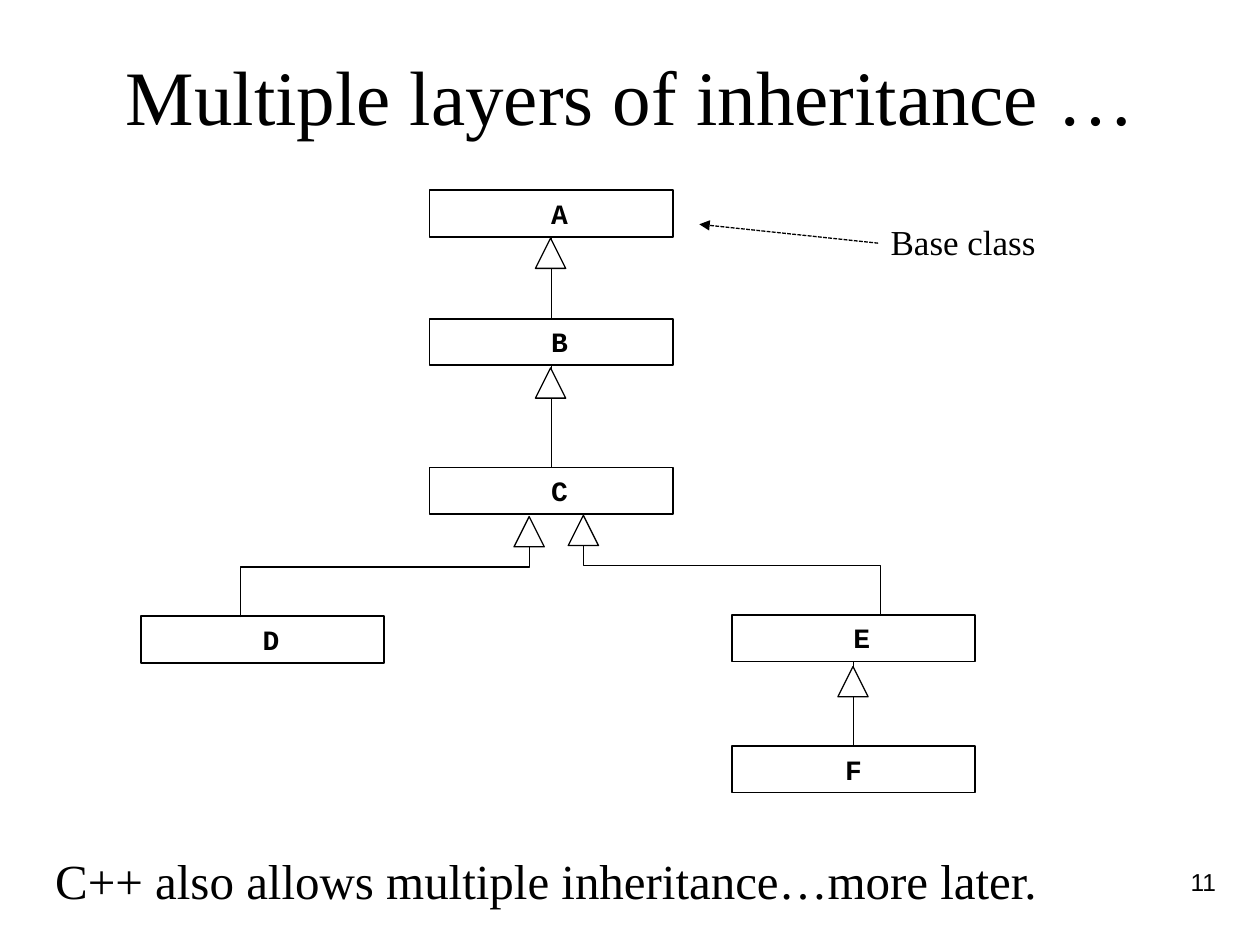
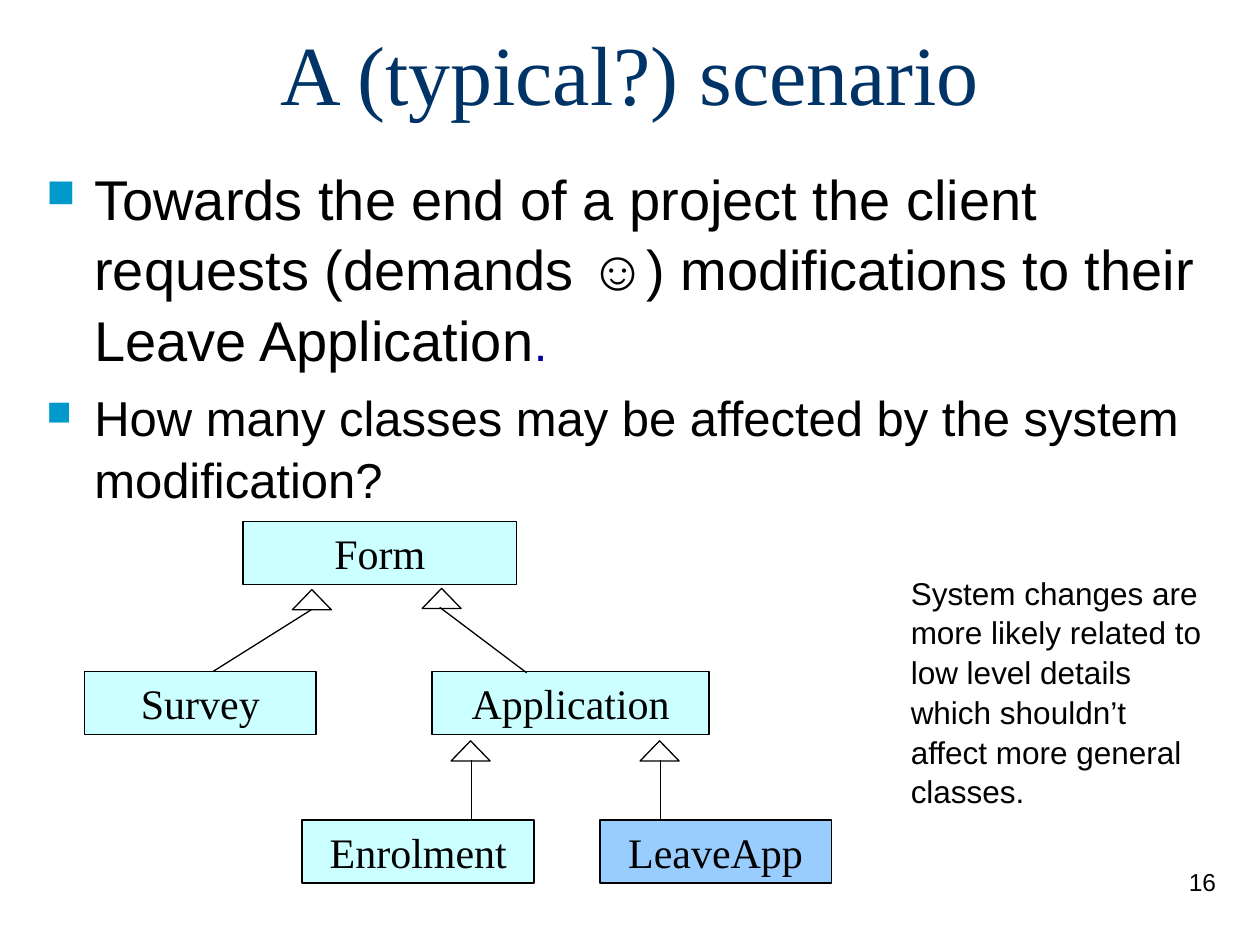
from lxml import etree
from pptx import Presentation
from pptx import util as u
from pptx.dml.color import RGBColor
from pptx.enum import dml, shapes, text
from pptx.oxml.ns import qn

BLACK = RGBColor(0x00, 0x00, 0x00)
WHITE = RGBColor(0xFF, 0xFF, 0xFF)
NAVY = RGBColor(0x00, 0x33, 0x66)
DOT_BLUE = RGBColor(0x00, 0x00, 0x99)
BULLET_BLUE = RGBColor(0x00, 0x99, 0xCC)
PALE_CYAN = RGBColor(0xCC, 0xFF, 0xFF)
SKY = RGBColor(0x99, 0xCC, 0xFF)

SERIF, SANS, MONO = "Times New Roman", "Arial", "Courier New"
LEFT, CENTER, RIGHT = text.PP_ALIGN.LEFT, text.PP_ALIGN.CENTER, text.PP_ALIGN.RIGHT
TOP, MIDDLE, BOTTOM = text.MSO_ANCHOR.TOP, text.MSO_ANCHOR.MIDDLE, text.MSO_ANCHOR.BOTTOM
RECT, TRIANGLE = shapes.MSO_SHAPE.RECTANGLE, shapes.MSO_SHAPE.ISOSCELES_TRIANGLE
STRAIGHT, ELBOW = shapes.MSO_CONNECTOR.STRAIGHT, shapes.MSO_CONNECTOR.ELBOW


def add_box(s, at, words="", size=16, font=SERIF, color=BLACK, align=LEFT,
            anchor=TOP, preset=None, fill=None, weight=1):
    """Add a text box, or an outlined shape when a preset is given."""
    at = [u.Inches(n) for n in at]
    if preset is None:
        sp = s.shapes.add_textbox(*at)
    else:
        sp = s.shapes.add_shape(preset, *at)
        sp.shadow.inherit = False
        sp.line.color.rgb = BLACK
        sp.line.width = u.Pt(weight)
        if fill is None:
            sp.fill.background()
        else:
            sp.fill.solid()
            sp.fill.fore_color.rgb = fill
    if words:
        tf = sp.text_frame
        tf.word_wrap = True
        tf.vertical_anchor = anchor
        p = tf.paragraphs[0]
        p.text = words
        p.alignment = align
        p.font.size, p.font.name = u.Pt(size), font
        p.font.color.rgb = color
    return sp


def add_line(s, x1, y1, x2, y2, kind=STRAIGHT):
    """Add a thin black connector; an elbow leaves and arrives vertically."""
    if kind == ELBOW:
        cx, cy = (x1 + x2) / 2, (y1 + y2) / 2
        dx, dy = x1 - cx, y1 - cy
        x1, y1, x2, y2 = cx - dy, cy + dx, cx + dy, cy - dx
    c = s.shapes.add_connector(kind, *[u.Inches(n) for n in (x1, y1, x2, y2)])
    c.line.color.rgb = BLACK
    c.line.width = u.Pt(0.75)
    sp_pr = c._element.spPr
    etree.SubElement(sp_pr, qn("a:effectLst"))
    if kind == ELBOW:
        sp_pr.find(qn("a:xfrm")).set("rot", str(270 * 60000))
    return c


prs = Presentation()
prs.slide_width, prs.slide_height = u.Inches(10), u.Inches(7.5)

# Titles and slide numbers
titles = [
    ("Multiple layers of inheritance …", (0.9, 0.13, 8.5, 1.25), 44, BLACK, LEFT, MIDDLE, "11"),
    ("A (typical?) scenario", (0.75, 0, 8.5, 1.02), 48, NAVY, CENTER, BOTTOM, "16"),
]
slides = []
for title, at, size, color, align, anchor, number in titles:
    s = prs.slides.add_slide(prs.slide_layouts[6])
    add_box(s, at, title, size, SERIF, color, align, anchor)
    add_box(s, (7.67, 6.83, 2.08, 0.5), number, 14, SANS, align=RIGHT)
    slides.append(s)

# Slide 1: class boxes
s = slides[0]
classes = {}
for name, x, y in [("A", 3.41, 1.51), ("B", 3.41, 2.53), ("C", 3.41, 3.71),
                   ("D", 1.12, 4.89), ("E", 5.81, 4.88), ("F", 5.81, 5.92)]:
    sp = add_box(s, (x, y, 1.93, 0.37), name, 16, MONO, align=CENTER, preset=RECT)
    sp.text_frame.paragraphs[0].font.bold = True
    if name != "F":
        sp.text_frame.margin_left = u.Inches(0.23)
    classes[name] = sp

# Slide 1: inheritance lines, then their hollow heads
for child, parent in ["BA", "CB", "FE"]:
    c = add_line(s, 0, 0, 1, 1)
    c.begin_connect(classes[child], 0)
    c.end_connect(classes[parent], 2)
add_line(s, 1.91, 4.9, 4.2, 4.1, ELBOW)
add_line(s, 6.99, 4.89, 4.63, 4.09, ELBOW)
for x, y in [(4.37, 1.89), (4.37, 2.92), (4.2, 4.1), (4.63, 4.09), (6.77, 5.29)]:
    add_box(s, (x - 0.12, y, 0.24, 0.24), preset=TRIANGLE, fill=WHITE, weight=0.75)

# Slide 1: base class note with dotted arrow, and closing remark
add_box(s, (6.97, 1.7, 2.28, 0.44), "Base class", 20)
c = add_line(s, 6.97, 1.93, 5.55, 1.78)
c.line.dash_style = dml.MSO_LINE.SQUARE_DOT
etree.SubElement(c.line._get_or_add_ln(), qn("a:tailEnd"), type="triangle")
add_box(s, (0.34, 6.7, 8.2, 0.57), "C++ also allows multiple inheritance…more later.", 28)

# Slide 2: bulleted text
s = slides[1]
tf = add_box(s, (0.27, 1.23, 9.61, 2.83)).text_frame
tf.word_wrap = True
bullets = [
    [("Towards the end of a project the client requests (demands ☺) modifications "
      "to their Leave Application", 32, BLACK), (".", 28, DOT_BLUE)],
    [("How many classes may be affected by the system modification?", 28, BLACK)],
]
for i, runs in enumerate(bullets):
    p = tf.add_paragraph() if i else tf.paragraphs[0]
    p_pr = p._p.get_or_add_pPr()
    p_pr.set("marL", str(u.Inches(0.38)))
    p_pr.set("indent", str(-u.Inches(0.38)))
    bu_clr = etree.SubElement(p_pr, qn("a:buClr"))
    etree.SubElement(bu_clr, qn("a:srgbClr"), val=str(BULLET_BLUE))
    etree.SubElement(p_pr, qn("a:buSzPct"), val="70000")
    etree.SubElement(p_pr, qn("a:buChar"), char="■")
    p.line_spacing = 1.05
    if i:
        p.space_before = u.Pt(7)
    p.font.name = SANS
    for words, size, color in runs:
        r = p.add_run()
        r.text = words
        r.font.size = u.Pt(size)
        r.font.color.rgb = color

# Slide 2: class boxes
for name, x, y, w, fill in [("Form", 1.93, 4.14, 2.17, PALE_CYAN),
                            ("Application", 3.43, 5.33, 2.2, PALE_CYAN),
                            ("Survey", 0.67, 5.33, 1.84, PALE_CYAN),
                            ("Enrolment", 2.4, 6.51, 1.84, PALE_CYAN),
                            ("LeaveApp", 4.76, 6.51, 1.84, SKY)]:
    add_box(s, (x, y, w, 0.5), name, 24, align=CENTER, preset=RECT, fill=fill)

# Slide 2: inheritance heads and lines
for x, y in [(2.32, 4.68), (3.35, 4.67), (3.58, 5.88), (5.08, 5.88)]:
    add_box(s, (x, y, 0.31, 0.16), preset=TRIANGLE, weight=0.75)
for ends in [(2.47, 4.84, 1.69, 5.33), (3.49, 4.82, 4.18, 5.34),
             (3.74, 6.03, 3.74, 6.51), (5.24, 6.03, 5.24, 6.51)]:
    add_line(s, *ends)

# Slide 2: side note
sp = add_box(s, (7.13, 4.49, 2.52, 1.9),
             "System changes are more likely related to low level details "
             "which shouldn’t affect more general classes.", 18, SANS)
sp.text_frame.paragraphs[0].line_spacing = 1.05

prs.save("out.pptx")
